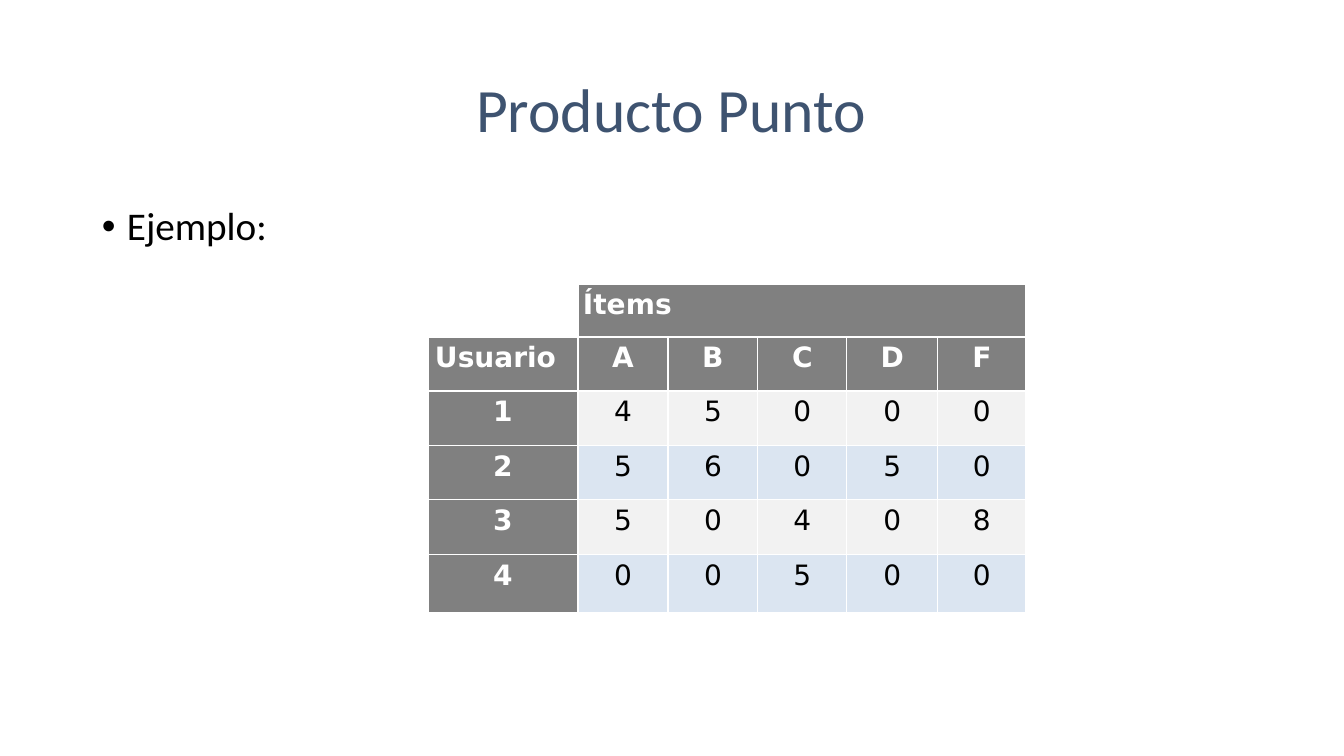
from dataclasses import dataclass

from lxml import etree
from pptx import Presentation
from pptx.dml.color import RGBColor
from pptx.enum.text import MSO_ANCHOR, PP_ALIGN
from pptx.oxml.ns import qn
from pptx.util import Pt

EMU_PER_PX = 914400 / 100.8
BLANK_LAYOUT = 6
CENTER, JUSTIFY, LEFT = PP_ALIGN.CENTER, PP_ALIGN.JUSTIFY, PP_ALIGN.LEFT
MIDDLE, TOP = MSO_ANCHOR.MIDDLE, MSO_ANCHOR.TOP


@dataclass(frozen=True)
class Theme:
    title_color: str = "3E5370"
    text_color: str = "000000"
    header_text: str = "FFFFFF"
    header_fill: str = "808080"
    row_fills: tuple = ("F2F2F2", "DBE5F1")
    border: str = "FFFFFF"
    border_pt: int = 1
    text_font: str = "Calibri"
    table_font: str = "DejaVu Sans"
    title_size: int = 44
    body_size: int = 28
    table_size: int = 20


def px(length):
    return round(length * EMU_PER_PX)


class SlideBuilder:
    def __init__(self, slide, theme):
        self.slide = slide
        self.theme = theme

    def add_run(self, paragraph, text, font, size, color, bold=False):
        run = paragraph.add_run()
        run.text = text
        run.font.name = font
        run.font.size = Pt(size)
        run.font.bold = bold
        run.font.color.rgb = RGBColor.from_string(color)

    def text_box(self, box, text, size, color, align=LEFT, anchor=TOP):
        shape = self.slide.shapes.add_textbox(*map(px, box))
        frame = shape.text_frame
        frame.word_wrap = True
        frame.vertical_anchor = anchor
        paragraph = frame.paragraphs[0]
        paragraph.alignment = align
        paragraph.line_spacing = 0.9
        self.add_run(paragraph, text, self.theme.text_font, size, color)
        return paragraph

    def title(self, box, text):
        self.text_box(box, text, self.theme.title_size, self.theme.title_color, CENTER, MIDDLE)

    def bullet(self, box, text):
        paragraph = self.text_box(box, text, self.theme.body_size, self.theme.text_color)
        paragraph.space_before = Pt(10)
        properties = paragraph._p.get_or_add_pPr()
        properties.set("marL", str(px(25)))
        properties.set("indent", str(-px(25)))
        etree.SubElement(properties, qn("a:buFont"), typeface="Arial")
        etree.SubElement(properties, qn("a:buChar"), char="•")

    def cell_borders(self, cell):
        """Draw all four edges; they must come before the fill in the cell's XML."""
        properties = cell._tc.get_or_add_tcPr()
        for position, edge in enumerate(("a:lnL", "a:lnR", "a:lnT", "a:lnB")):
            line = etree.Element(qn(edge), w=str(Pt(self.theme.border_pt)))
            fill = etree.SubElement(line, qn("a:solidFill"))
            etree.SubElement(fill, qn("a:srgbClr"), val=self.theme.border)
            properties.insert(position, line)

    def cell(self, cell, text, fill, color, bold, align=CENTER, margin=7):
        cell.margin_left = cell.margin_right = px(margin)
        cell.margin_top = cell.margin_bottom = 0
        if fill:
            cell.fill.solid()
            cell.fill.fore_color.rgb = RGBColor.from_string(fill)
        else:
            cell.fill.background()
        if text:
            paragraph = cell.text_frame.paragraphs[0]
            paragraph.alignment = align
            paragraph.line_spacing = 1.15
            self.add_run(paragraph, text, self.theme.table_font, self.theme.table_size, color, bold)
        self.cell_borders(cell)

    def ratings_table(self, left, top, widths, heights, rows):
        """Fill a table with a group heading, a heading row and a heading column."""
        theme = self.theme
        box = (left, top, sum(widths), sum(heights))
        table = self.slide.shapes.add_table(len(heights), len(widths), *map(px, box)).table
        table.first_row = table.horz_banding = False
        for column, width in zip(table.columns, widths):
            column.width = px(width)
        for row, height in zip(table.rows, heights):
            row.height = px(height)
        table.cell(0, 1).merge(table.cell(0, len(widths) - 1))

        for r, values in enumerate(rows):
            for c, value in enumerate(values):
                header = r < 2 or c == 0
                fill = theme.header_fill if header else theme.row_fills[r % 2]
                color = theme.header_text if header else theme.text_color
                left_heading = r == 0 or (r == 1 and c == 0)
                self.cell(
                    table.cell(r, c), str(value),
                    None if r == c == 0 else fill, color, header,
                    JUSTIFY if left_heading else CENTER,
                    5 if r == 0 else 7,
                )


def main():
    presentation = Presentation()
    presentation.slide_width, presentation.slide_height = px(1344), px(756)
    slide = presentation.slides.add_slide(presentation.slide_layouts[BLANK_LAYOUT])
    builder = SlideBuilder(slide, Theme())

    builder.title((92, 40, 1159, 146), "Producto Punto")
    builder.bullet((92, 202, 1159, 480), "Ejemplo:")

    ratings = [
        ["", "Ítems", "", "", "", ""],
        ["Usuario", *"ABCDF"],
        [1, 4, 5, 0, 0, 0],
        [2, 5, 6, 0, 5, 0],
        [3, 5, 0, 4, 0, 8],
        [4, 0, 0, 5, 0, 0],
    ]
    builder.ratings_table(
        428, 284, (150, 90, 90, 89, 91, 88), (53, 54, 55, 54, 55, 58), ratings
    )
    presentation.save("out.pptx")


if __name__ == "__main__":
    main()
